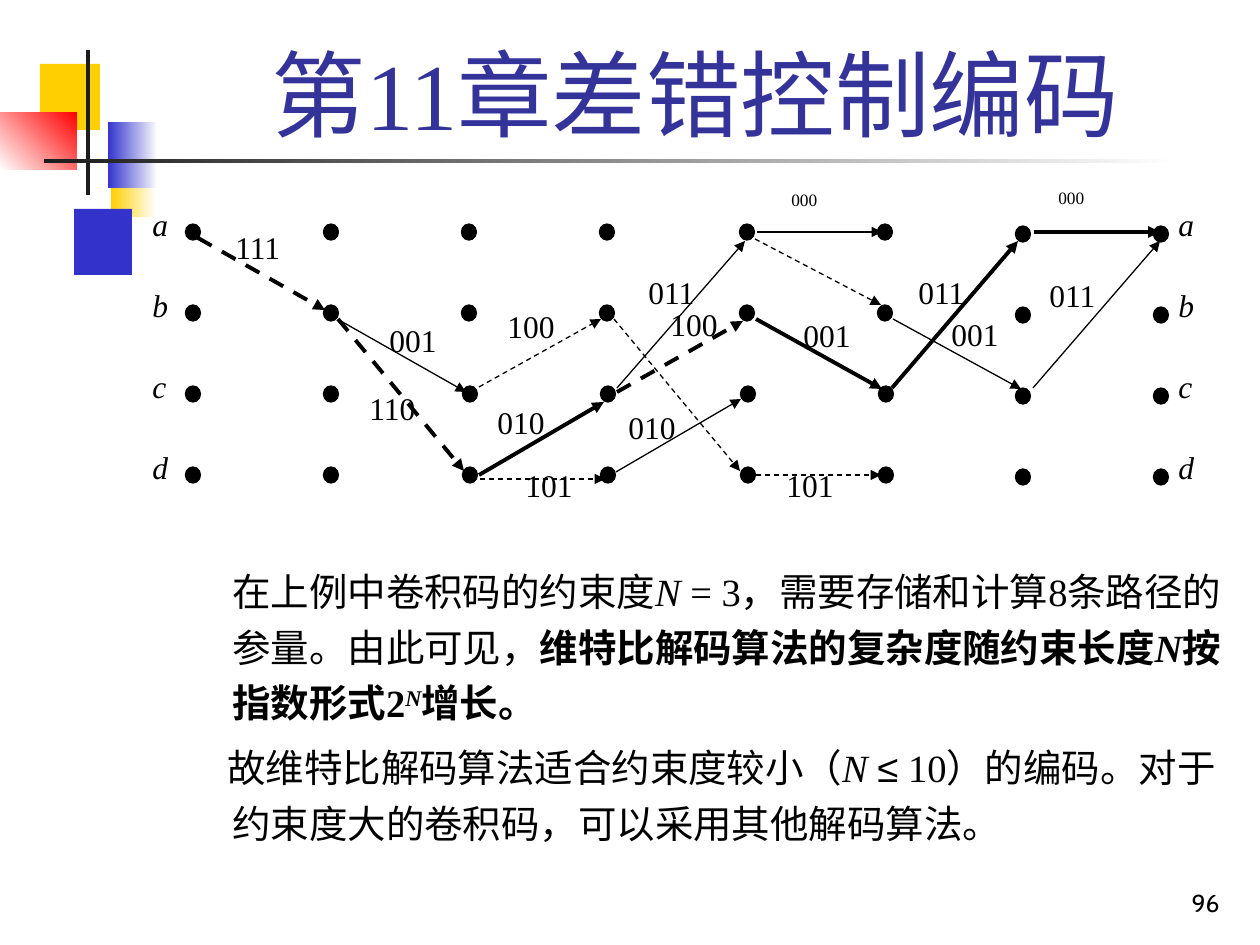
from lxml.etree import SubElement
from pptx import Presentation
from pptx.dml.color import RGBColor
from pptx.enum.dml import MSO_LINE
from pptx.enum.shapes import MSO_CONNECTOR, MSO_SHAPE
from pptx.enum.text import MSO_ANCHOR, MSO_AUTO_SIZE, PP_ALIGN
from pptx.oxml.ns import qn
from pptx.util import Emu, Pt

BLACK, WHITE, CHARCOAL = "000000", "FFFFFF", "1C1C1C"
YELLOW, BLUE, RED, TITLE_BLUE = "FFCF01", "3333CC", "FF0000", "333399"


def px(length):
    return Emu(round(length * 914400 / 126))


def color(hex_string):
    return RGBColor.from_string(hex_string)


class SlideBuilder:
    font_name = "Times New Roman"

    def __init__(self, slide):
        self.slide = slide

    def format_run(self, run, size, hex_color=BLACK, font=None, style=""):
        """Style letters: b bold, i italic, ^ superscript."""
        run.font.name = font or self.font_name
        run.font.size = Pt(size)
        run.font.color.rgb = color(hex_color)
        run.font.bold = "b" in style
        run.font.italic = "i" in style
        if "^" in style:
            run.font._element.set("baseline", "30000")

    def title(self, text, box):
        shape = self.slide.shapes.title
        shape.left, shape.top, shape.width, shape.height = map(px, box)
        frame = shape.text_frame
        frame.text = text
        frame.auto_size = MSO_AUTO_SIZE.NONE
        frame.vertical_anchor = MSO_ANCHOR.BOTTOM
        frame.paragraphs[0].alignment = PP_ALIGN.CENTER
        self.format_run(frame.paragraphs[0].runs[0], 54, TITLE_BLUE)

    def text_frame(self, box, anchor=MSO_ANCHOR.TOP):
        frame = self.slide.shapes.add_textbox(*map(px, box)).text_frame
        frame.word_wrap = True
        frame.vertical_anchor = anchor
        return frame

    def label(self, text, box, size=18, align=PP_ALIGN.JUSTIFY,
              anchor=MSO_ANCHOR.TOP, font=None, style=""):
        frame = self.text_frame(box, anchor)
        frame.text = text
        frame.paragraphs[0].alignment = align
        self.format_run(frame.paragraphs[0].runs[0], size, font=font, style=style)

    def body(self, box, paragraphs):
        """Each paragraph is a first-line indent and a list of (text, style, font)."""
        frame = self.text_frame(box)
        for index, (indent, runs) in enumerate(paragraphs):
            paragraph = frame.add_paragraph() if index else frame.paragraphs[0]
            properties = paragraph._p.get_or_add_pPr()
            properties.set("marL", str(px(220)))
            properties.set("indent", str(px(indent)))
            paragraph.line_spacing = 1.2
            paragraph.space_before = Pt(5.5 if index else 0)
            for text, style, font in runs:
                run = paragraph.add_run()
                run.text = text
                self.format_run(run, 22, font=font, style=style)

    def block(self, box, start, end=None, angle=0):
        """A rectangle, solid or with a gradient from start to end."""
        shape = self.slide.shapes.add_shape(MSO_SHAPE.RECTANGLE, *map(px, box))
        shape.shadow.inherit = False
        shape.line.fill.background()
        if end is None:
            shape.fill.solid()
            shape.fill.fore_color.rgb = color(start)
            return
        shape.fill.gradient()
        shape.fill.gradient_angle = angle
        for stop, hex_color in zip(shape.fill.gradient_stops, (start, end)):
            stop.color.rgb = color(hex_color)

    def dot(self, center_x, center_y):
        box = (center_x - 7.5, center_y - 8, 15, 16)
        shape = self.slide.shapes.add_shape(MSO_SHAPE.OVAL, *map(px, box))
        shape.shadow.inherit = False
        shape.fill.solid()
        shape.fill.fore_color.rgb = color(BLACK)
        shape.line.color.rgb = color(BLACK)
        shape.line.width = Pt(0.75)

    def arrow(self, ends, width, dashed):
        connector = self.slide.shapes.add_connector(MSO_CONNECTOR.STRAIGHT, *map(px, ends))
        connector.line.color.rgb = color(BLACK)
        connector.line.width = Pt(width)
        if dashed:
            connector.line.dash_style = MSO_LINE.DASH
        SubElement(connector.line._get_or_add_ln(), qn("a:tailEnd"), type="triangle")
        SubElement(connector._element.spPr, qn("a:effectLst"))


BLOCKS = [
    ((111, 151, 45, 66), YELLOW, WHITE),
    ((74, 209, 58, 66), BLUE),
    ((40, 64, 60, 66), YELLOW),
    ((108, 122, 50, 66), BLUE, WHITE),
    ((0, 112, 77, 58), WHITE, RED, 45),
    ((86, 50, 4, 145), CHARCOAL),
    ((44, 159, 1134, 4), CHARCOAL, WHITE),
]

# (line width, dashed): ends of the trellis branches
BRANCHES = {
    (0.75, True): [(480, 479, 605, 479), (614, 319, 740, 471), (479, 387, 601, 319),
                   (756, 475, 881, 475), (755, 239, 881, 305)],
    (0.75, False): [(616, 472, 741, 399), (339, 320, 466, 392), (617, 388, 745, 241),
                    (893, 319, 1021, 389), (1033, 388, 1160, 241), (757, 232, 882, 232)],
    (2.25, False): [(892, 388, 1018, 241), (479, 475, 604, 402),
                    (1034, 232, 1160, 232), (756, 319, 882, 389)],
    (2.25, True): [(617, 392, 743, 321), (198, 238, 325, 310), (338, 319, 464, 471)],
}

BRANCH_LABELS = {
    "111": [(223, 222)],
    "110": [(357, 383)],
    "001": [(377, 315), (791, 310), (939, 309)],
    "010": [(485, 397), (616, 402)],
    "101": [(513, 460), (774, 460)],
    "100": [(495, 301), (658, 299)],
    "011": [(636, 267), (906, 267), (1037, 270)],
    "000": [(779, 183), (1046, 181)],
}

BODY = [
    (0, [("在上例中卷积码的约束度", "", None), ("N", "i", None),
         (" = 3，需要存储和计算8条路径的参量。由此可见，", "", None),
         ("维特比解码算法的复杂度随约束长度", "b", None), ("N", "bi", None),
         ("按指数形式2", "b", None), ("N", "bi^", None), ("增长。", "b", None)]),
    (-5, [("故维特比解码算法适合约束度较小（", "", None), ("N ", "i", None),
          ("≤", "", "Arial"),
          (" 10）的编码。对于约束度大的卷积码，可以采用其他解码算法。", "", None)]),
]


def draw_trellis(builder):
    for (width, dashed), branches in BRANCHES.items():
        for ends in branches:
            builder.arrow(ends, width, dashed)
    for row, state in enumerate("abcd"):
        for column in range(8):
            shift_x = (2 if column >= 4 else 0) + (1 if row >= 2 and 2 <= column <= 5 else 0)
            shift_y = 2 if column >= 6 else 0
            builder.dot(193 + 138 * column + shift_x, 232 + 81 * row + shift_y)
        for left in (140, 1166):
            builder.label(state, (left, 199 + 81 * row, 53, 57), style="i")
    for code, places in BRANCH_LABELS.items():
        for left, top in places:
            builder.label(code, (left, top, 77, 57), size=9.9 if code == "000" else 18)


def main():
    presentation = Presentation()
    presentation.slide_width, presentation.slide_height = px(1260), px(945)
    builder = SlideBuilder(presentation.slides.add_slide(presentation.slide_layouts[5]))
    for block in BLOCKS:
        builder.block(*block)
    builder.title("第11章差错控制编码", (159, 29, 1073, 127))
    builder.body((0, 553, 1260, 392), BODY)
    draw_trellis(builder)
    builder.label("96", (970, 861, 262, 63), size=14, align=PP_ALIGN.RIGHT,
                  anchor=MSO_ANCHOR.BOTTOM, font="Cabin")
    presentation.save("out.pptx")


if __name__ == "__main__":
    main()
